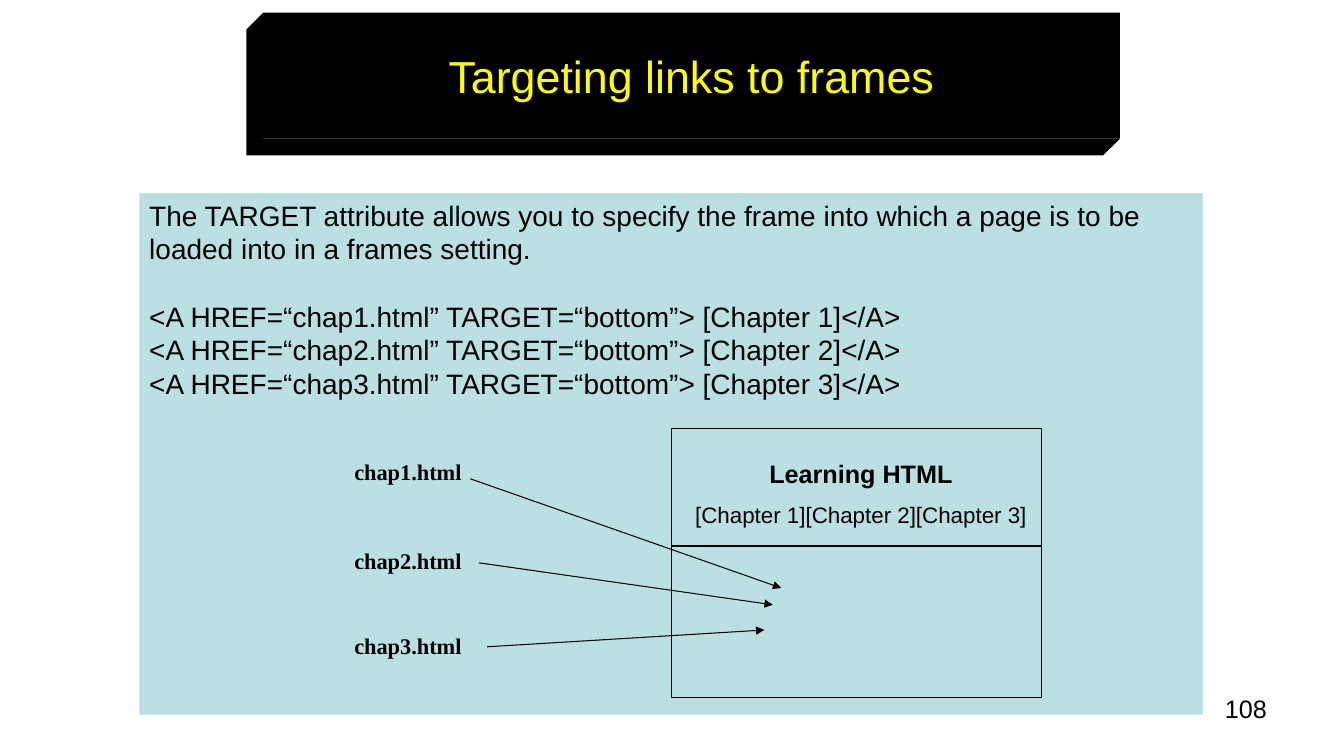
"""Build the slide on targeting links to frames."""
import pptx
import pptx.dml.color
import pptx.enum.shapes
import pptx.enum.text
import pptx.oxml
import pptx.oxml.ns
import pptx.util

Pt = pptx.util.Pt
RGBColor = pptx.dml.color.RGBColor
ALIGN = pptx.enum.text.PP_ALIGN
ANCHOR = pptx.enum.text.MSO_ANCHOR

BLACK = RGBColor(0, 0, 0)
YELLOW = RGBColor(255, 255, 0)
PALE_BLUE = RGBColor(0xBB, 0xE0, 0xE3)

TITLE = "Targeting links to frames"
INTRO = ("The TARGET attribute allows you to specify the frame into which "
         "a page is to be loaded into in a frames setting.")
LINKS = [f"<A HREF=“chap{n}.html” TARGET=“bottom”> [Chapter {n}]</A>" for n in (1, 2, 3)]
PAGE_TITLE = "Learning HTML"
PAGE_MENU = "[Chapter 1][Chapter 2][Chapter 3]"
PAGE_NUMBER = "108"
CHAPTERS = [("chap1.html", 324, 420), ("chap2.html", 387.5, 432), ("chap3.html", 448, 450)]

TITLE_BOX = (188, 9, 612, 90)
TITLE_DEPTH = 12
BODY_BOX = (99.5, 138, 760, 372.5)
FRAME_BOX = (480, 306, 264, 192)
FRAME_SPLIT = 84
MENU_BOX = (486, 324, 258, 58)
NUMBER_BOX = (688, 492, 224, 37)

BODY = dict(size=Pt(20), name="Arial")
HEADING = dict(size=Pt(32), name="Arial")
PAGE_HEAD = dict(size=Pt(18), name="Arial", bold=True)
MENU = dict(size=Pt(16), name="Arial")
LABEL = dict(size=Pt(16), name="Times New Roman", bold=True)
NUMBER = dict(size=Pt(18), name="Arial")


def fill_text(sp, lines, align=ALIGN.LEFT, color=BLACK, anchor=ANCHOR.TOP):
    """Write lines of (text, font format, space before) into a shape."""
    tf = sp.text_frame
    for key, value in dict(word_wrap=True, vertical_anchor=anchor,
                           auto_size=pptx.enum.text.MSO_AUTO_SIZE.NONE).items():
        setattr(tf, key, value)
    for i, (text, fmt, gap) in enumerate(lines):
        p = tf.paragraphs[0] if i == 0 else tf.add_paragraph()
        p.alignment = align
        if gap:
            p.space_before = Pt(gap)
        r = p.add_run()
        r.text = text
        for key, value in fmt.items():
            setattr(r.font, key, value)
        r.font.color.rgb = color


def add_text(s, box, lines, **options):
    """Add a text box and return it."""
    sp = s.shapes.add_textbox(*map(Pt, box))
    fill_text(sp, lines, **options)
    return sp


def add_line(s, x1, y1, x2, y2, arrow=False):
    """Add a thin black line, with an arrowhead if asked."""
    sp = s.shapes.add_connector(pptx.enum.shapes.MSO_CONNECTOR.STRAIGHT,
                                *map(Pt, (x1, y1, x2, y2)))
    sp.line.color.rgb = BLACK
    sp.line.width = Pt(0.75)
    if arrow:
        pptx.oxml.ns.qn("a:tailEnd")
        ln = sp.line._get_or_add_ln()
        ln.append(pptx.oxml.parse_xml(
            f'<a:tailEnd {pptx.oxml.ns.nsdecls("a")} type="triangle"/>'))
    sp._element.spPr.append(pptx.oxml.parse_xml(
        f'<a:effectLst {pptx.oxml.ns.nsdecls("a")}/>'))


def add_title(s):
    """Place the title on a black block with its left and lower sides."""
    sp = s.shapes.title
    sp.left, sp.top, sp.width, sp.height = map(Pt, TITLE_BOX)
    sp.fill.solid()
    sp.fill.fore_color.rgb = BLACK
    fill_text(sp, [(TITLE, HEADING, 0)], ALIGN.CENTER, YELLOW, ANCHOR.MIDDLE)

    x, y, w, h = TITLE_BOX
    d = TITLE_DEPTH
    outline = [(x, y + h), (x + w, y + h), (x + w - d, y + h + d),
               (x - d, y + h + d), (x - d, y + d)]
    builder = s.shapes.build_freeform(Pt(x), Pt(y))
    builder.add_line_segments([(Pt(a), Pt(b)) for a, b in outline], close=True)
    side = builder.convert_to_shape()
    side.shadow.inherit = False
    side.fill.solid()
    side.fill.fore_color.rgb = BLACK
    side.line.fill.background()


def add_diagram(s):
    """Draw the framed page and the chapters that load into it."""
    x, y, w, h = FRAME_BOX
    add_text(s, MENU_BOX, [(PAGE_TITLE, PAGE_HEAD, 0), (PAGE_MENU, MENU, 9)],
             align=ALIGN.CENTER)
    frame = s.shapes.add_shape(pptx.enum.shapes.MSO_SHAPE.RECTANGLE, *map(Pt, FRAME_BOX))
    frame.shadow.inherit = False
    frame.fill.background()
    frame.line.color.rgb = BLACK
    frame.line.width = Pt(0.75)
    add_line(s, x, y + FRAME_SPLIT, x + w, y + FRAME_SPLIT)
    for i, (name, top, target) in enumerate(CHAPTERS):
        add_text(s, (246, top, 102, 27), [(name, LABEL, 0)])
        add_line(s, 336 + 6 * i, 342 + 60 * i, 558 - 6 * i, target, arrow=True)


def main():
    """Build and save the slide."""
    prs = pptx.Presentation()
    prs.slide_width, prs.slide_height = Pt(960), Pt(540)
    s = prs.slides.add_slide(prs.slide_layouts[5])
    add_title(s)
    add_text(s, NUMBER_BOX, [(PAGE_NUMBER, NUMBER, 0)], align=ALIGN.RIGHT)
    lines = [(INTRO, BODY, 0)] + [(t, BODY, 0 if i else 24) for i, t in enumerate(LINKS)]
    body = add_text(s, BODY_BOX, lines)
    body.fill.solid()
    body.fill.fore_color.rgb = PALE_BLUE
    add_diagram(s)
    prs.save("out.pptx")


if __name__ == "__main__":
    main()
